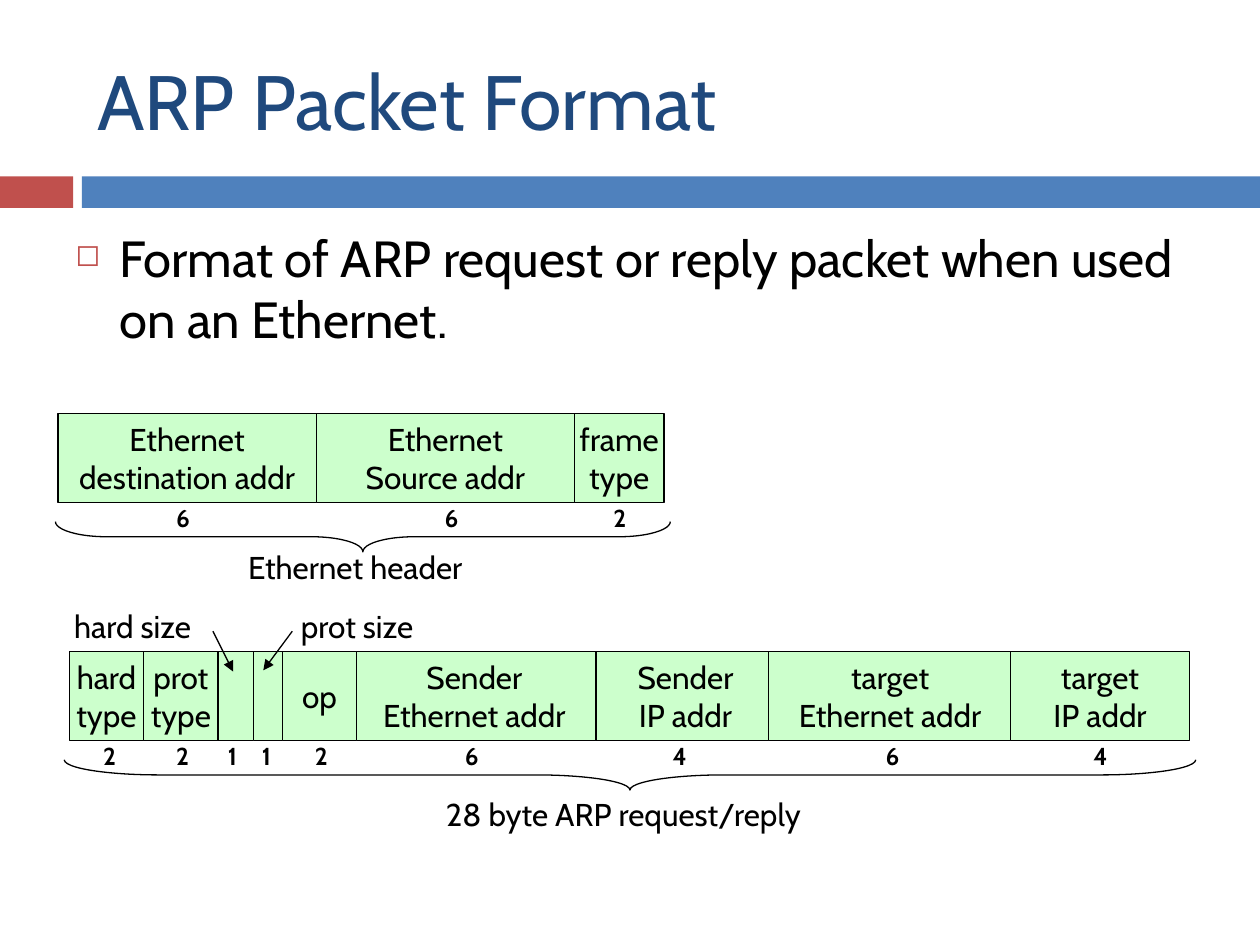
import pptx
import pptx.util
import pptx.dml.color
import pptx.enum.shapes
import pptx.enum.text
import pptx.oxml
import pptx.oxml.ns
from pptx.util import Inches

FONT = "Cabin"
BLACK, NAVY, RED, BLUE, GREEN = "000000", "1F497D", "C0504D", "4F81BD", "CCFFCC"
SHAPES = pptx.enum.shapes.MSO_SHAPE
ALIGN = pptx.enum.text.PP_ALIGN
ANCHOR = pptx.enum.text.MSO_ANCHOR

CELL_HEIGHT = 0.71
# Each field: text, left, width, byte count, left of the byte count
HEADER_FIELDS = [
    ("Ethernet\ndestination addr", 0.46, 2.05, "6", 1.3),
    ("Ethernet\nSource addr", 2.51, 2.05, "6", 3.43),
    ("frame\ntype", 4.56, 0.71, "2", 4.77),
]
# The op field comes last because it overlaps its neighbours
ARP_FIELDS = [
    ("hard\ntype", 0.55, 0.59, "2", 0.72),
    ("prot\ntype", 1.14, 0.59, "2", 1.3),
    ("", 1.73, 0.28, "1", 1.71),
    ("", 2.01, 0.28, "1", 1.98),
    ("Sender\nEthernet addr", 2.8, 1.93, "6", 3.59),
    ("Sender\nIP addr", 4.73, 1.42, "4", 5.24),
    ("target\nEthernet addr", 6.1, 1.93, "6", 6.93),
    ("target\nIP addr", 8.02, 1.42, "4", 8.58),
    ("op", 2.24, 0.59, "2", 2.4),
]


def color(value):
    return pptx.dml.color.RGBColor.from_string(value)


def add_xml(parent, xml):
    namespace = pptx.oxml.ns.nsdecls("a")
    parent.append(pptx.oxml.parse_xml(xml.replace("/>", f" {namespace}/>", 1)))


def write(frame, text, size=18, ink=BLACK, bold=False, align=ALIGN.LEFT,
          anchor=ANCHOR.TOP, wrap=False):
    frame.word_wrap = wrap
    frame.vertical_anchor = anchor
    frame.text = text
    for para in frame.paragraphs:
        para.alignment = align
        for span in para.runs:
            span.font.name = FONT
            span.font.size = pptx.util.Pt(size)
            span.font.bold = bold
            span.font.color.rgb = color(ink)


def add_text(page, text, left, top, width, height, **style):
    box = page.shapes.add_textbox(Inches(left), Inches(top), Inches(width), Inches(height))
    write(box.text_frame, text, **style)
    return box


def outline(line):
    line.color.rgb = color(BLACK)
    line.width = pptx.util.Pt(0.75)


def add_block(page, left, top, width, height, fill, bordered=False):
    block = page.shapes.add_shape(
        SHAPES.RECTANGLE, Inches(left), Inches(top), Inches(width), Inches(height))
    block.shadow.inherit = False
    block.fill.solid()
    block.fill.fore_color.rgb = color(fill)
    if bordered:
        outline(block.line)
    else:
        block.line.fill.background()
    return block


def add_fields(page, fields, top):
    for text, left, width, count, count_left in fields:
        cell = add_block(page, left, top, width, CELL_HEIGHT, GREEN, bordered=True)
        if text:
            write(cell.text_frame, text, align=ALIGN.CENTER, anchor=ANCHOR.MIDDLE)
        add_text(page, count, count_left, top + 0.66, 0.31, 0.34, size=14, bold=True)


def add_brace(page, left, top, length, depth=0.24):
    """Draw a brace that lies below a row and points down."""
    brace = page.shapes.add_shape(
        SHAPES.LEFT_BRACE,
        Inches(left + (length - depth) / 2), Inches(top + (depth - length) / 2),
        Inches(depth), Inches(length))
    brace.rotation = 270
    brace.adjustments[0] = length / 12 / depth
    brace.shadow.inherit = False
    brace.fill.background()
    outline(brace.line)


def add_arrow(page, x1, y1, x2, y2):
    arrow = page.shapes.add_connector(
        pptx.enum.shapes.MSO_CONNECTOR.STRAIGHT,
        Inches(x1), Inches(y1), Inches(x2), Inches(y2))
    outline(arrow.line)
    add_xml(arrow.line._get_or_add_ln(), '<a:tailEnd type="triangle"/>')
    add_xml(arrow._element.spPr, "<a:effectLst/>")


def add_title(page, text):
    title = page.shapes.title
    title.left, title.top = Inches(0.67), Inches(0.25)
    title.width, title.height = Inches(8.92), Inches(1.08)
    write(title.text_frame, text, size=44, ink=NAVY, anchor=ANCHOR.MIDDLE, wrap=True)


def add_bullet(page, text):
    box = add_text(page, text, 0.5, 1.75, 9, 1.21, size=29, wrap=True)
    properties = box.text_frame.paragraphs[0]._p.get_or_add_pPr()
    properties.set("marL", str(Inches(0.35)))
    properties.set("indent", str(-Inches(0.35)))
    add_xml(properties, f'<a:buClr><a:srgbClr val="{RED}"/></a:buClr>'.replace(
        "<a:buClr>", f"<a:buClr {pptx.oxml.ns.nsdecls('a')}>"))
    add_xml(properties, '<a:buSzPct val="60000"/>')
    add_xml(properties, '<a:buChar char="◻"/>')


def main():
    deck = pptx.Presentation()
    deck.slide_width, deck.slide_height = Inches(10), Inches(7.5)
    page = deck.slides.add_slide(deck.slide_layouts[5])

    # Title, colour band and statement
    add_block(page, 0, 1.4, 0.58, 0.25, RED)
    add_block(page, 0.65, 1.4, 9.35, 0.25, BLUE)
    add_title(page, "ARP Packet Format")
    add_bullet(page, "Format of ARP request or reply packet when used on an Ethernet.")

    # Ethernet header
    add_fields(page, HEADER_FIELDS, 3.28)
    add_brace(page, 0.44, 4.14, 4.88)
    add_text(page, "Ethernet header", 1.87, 4.3, 2.11, 0.4)

    # ARP request or reply
    add_fields(page, ARP_FIELDS, 5.17)
    add_brace(page, 0.51, 6.03, 8.98)
    add_text(page, "28 byte ARP request/reply", 3.44, 6.26, 3.24, 0.4)

    # Callouts for the two narrow fields
    add_text(page, "hard size", 0.49, 4.77, 1.26, 0.4)
    add_text(page, "prot size", 2.29, 4.77, 1.2, 0.4)
    add_arrow(page, 1.69, 5.01, 1.85, 5.33)
    add_arrow(page, 2.32, 5.01, 2.09, 5.32)

    deck.save("out.pptx")


if __name__ == "__main__":
    main()
